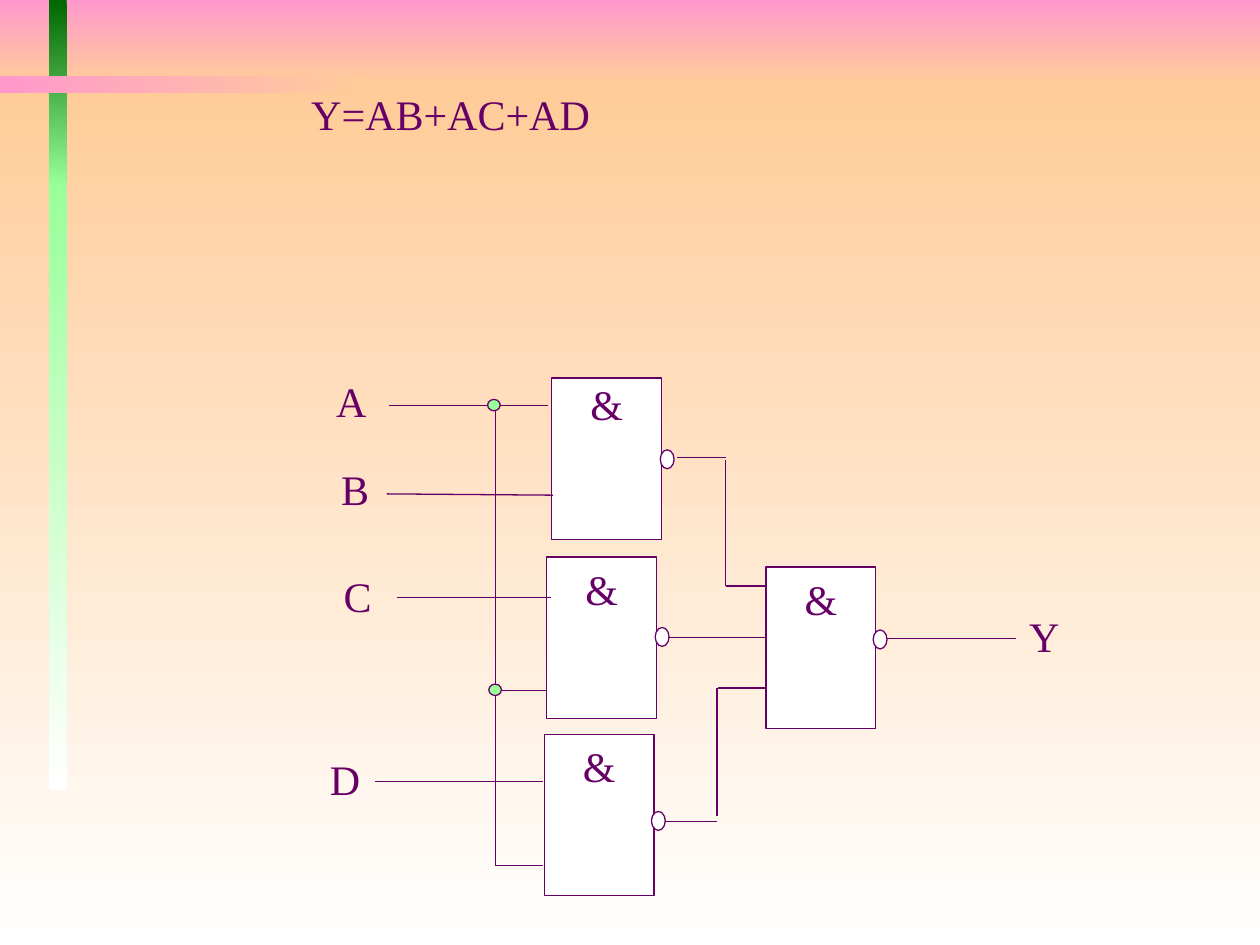
from pptx import Presentation
from pptx.dml.color import RGBColor
from pptx.enum.shapes import MSO_CONNECTOR, MSO_SHAPE
from pptx.enum.text import MSO_ANCHOR, PP_ALIGN
from pptx.oxml.ns import qn
from pptx.util import Inches, Pt
from lxml.etree import SubElement

PURPLE, WHITE, GREEN = "660066", "FFFFFF", "99FF99"
PINK, ORANGE, DARK_GREEN = "FF99CC", "FFCC99", "006600"
COLS, ROWS = 10, 7.5
GATE_W, GATE_H = 0.87, 1.28
BUBBLE_W, BUBBLE_H = 0.11, 0.15
DOT_W, DOT_H = 0.1, 0.09
LABEL_W, LABEL_H = 0.43, 0.5

prs = Presentation()
prs.slide_width, prs.slide_height = Inches(10), Inches(7.5)


def rgb(value):
    return RGBColor.from_string(value)


def grid(x, y):
    return round(prs.slide_width * x / COLS), round(prs.slide_height * y / ROWS)


def write(tf, text, align=PP_ALIGN.LEFT, wrap=True, top=0.05):
    tf.word_wrap = wrap
    tf.vertical_anchor = MSO_ANCHOR.TOP
    tf.margin_left = tf.margin_right = Inches(0.1)
    tf.margin_top, tf.margin_bottom = Inches(top), Inches(0.05)
    p = tf.paragraphs[0]
    p.alignment = align
    r = p.add_run()
    r.text = text
    r.font.name, r.font.size = "Times New Roman", Pt(24)
    r.font.color.rgb = rgb(PURPLE)


def add_outlined(s, kind, box, fill):
    x, y, w, h = box
    sp = s.shapes.add_shape(kind, *grid(x, y), *grid(w, h))
    sp.shadow.inherit = False
    sp.fill.solid()
    sp.fill.fore_color.rgb = rgb(fill)
    sp.line.color.rgb = rgb(PURPLE)
    sp.line.width = Pt(0.75)
    return sp


def add_gradient(s, box, colors, angle=270):
    x, y, w, h = box
    sp = s.shapes.add_shape(MSO_SHAPE.RECTANGLE, *grid(x, y), *grid(w, h))
    sp.shadow.inherit = False
    sp.line.fill.background()
    sp.fill.gradient()
    sp.fill.gradient_angle = angle
    for stop, color in zip(sp.fill.gradient_stops, colors):
        stop.color.rgb = rgb(color)


def add_backdrop(s, box):
    x, y, w, h = box
    band = 0.67
    add_gradient(s, (x, y, w, band), (PINK, ORANGE))
    add_gradient(s, (x, y + band, w, h - band), (ORANGE, WHITE))
    add_gradient(s, (x + 0.39, y, 0.14, 1.48), (DARK_GREEN, GREEN))
    add_gradient(s, (x + 0.39, y + 1.46, 0.14, 4.81), (GREEN, WHITE))
    add_gradient(s, (x, y + 0.6, 2.89, 0.14), (PINK, ORANGE), 0)


def add_title(s, box, text):
    x, y, w, h = box
    sp = s.shapes.title
    sp.left, sp.top = grid(x, y)
    sp.width, sp.height = grid(w, h)
    write(sp.text_frame, text)
    s.shapes._spTree.append(sp._element)


def add_gate(s, box, bubble, top):
    x, y, w, h = box
    sp = add_outlined(s, MSO_SHAPE.RECTANGLE, box, WHITE)
    write(sp.text_frame, "&", PP_ALIGN.CENTER, False, top)
    dx, dy = bubble
    add_outlined(s, MSO_SHAPE.OVAL, (x + dx, y + dy, BUBBLE_W, BUBBLE_H), WHITE)


def add_wire(s, x1, y1, x2, y2):
    line = s.shapes.add_connector(MSO_CONNECTOR.STRAIGHT, *grid(x1, y1), *grid(x2, y2))
    line.line.color.rgb = rgb(PURPLE)
    line.line.width = Pt(0.75)
    SubElement(line._element.spPr, qn("a:effectLst"))


def add_label(s, box, text):
    x, y, w, h = box
    sp = s.shapes.add_textbox(*grid(x, y), *grid(w, h))
    write(sp.text_frame, text)


def add_circuit(s, box):
    left, top, _, _ = box
    gates = [
        (1.88, 0.07, (0.86, 0.57), 0),
        (1.84, 1.49, (0.86, 0.56), 0.05),
        (1.82, 2.9, (0.85, 0.61), 0.05),
        (3.58, 1.57, (0.85, 0.5), 0.05),
    ]
    inputs = [
        (0.59, 0.29, 1.85, 0.29), (0.57, 0.99, 1.89, 1),
        (0.65, 1.81, 1.87, 1.81), (0.48, 3.27, 1.81, 3.27),
    ]
    shared = [
        (1.43, 0.27, 1.43, 3.94), (1.44, 3.94, 1.81, 3.94), (1.44, 2.55, 1.83, 2.55),
    ]
    outputs = [
        (2.8, 2.13, 3.59, 2.13),
        (2.87, 0.7, 3.26, 0.7), (3.26, 0.72, 3.26, 1.72), (3.26, 1.72, 3.59, 1.72),
        (2.78, 3.59, 3.19, 3.59), (3.19, 3.55, 3.19, 2.53), (3.2, 2.53, 3.57, 2.53),
        (4.54, 2.14, 5.56, 2.14),
    ]
    labels = [("A", 0.07, 0), ("B", 0.11, 0.7), ("C", 0.13, 1.55),
              ("D", 0.02, 3), ("Y", 5.57, 1.87)]
    for x, y, bubble, inset in gates:
        add_gate(s, (left + x, top + y, GATE_W, GATE_H), bubble, inset)
    for x1, y1, x2, y2 in inputs + shared + outputs:
        add_wire(s, left + x1, top + y1, left + x2, top + y2)
    for x, y in [(1.37, 0.24), (1.38, 2.5)]:
        add_outlined(s, MSO_SHAPE.OVAL, (left + x, top + y, DOT_W, DOT_H), GREEN)
    for text, x, y in labels:
        add_label(s, (left + x, top + y, LABEL_W, LABEL_H), text)


def main():
    s = prs.slides.add_slide(prs.slide_layouts[5])
    add_backdrop(s, (0, 0, COLS, ROWS))
    add_title(s, (2.37, 0.65, 2.59, 0.5), "Y=AB+AC+AD")
    add_circuit(s, (2.5, 2.93, 6, 4.18))
    prs.save("out.pptx")


if __name__ == "__main__":
    main()
